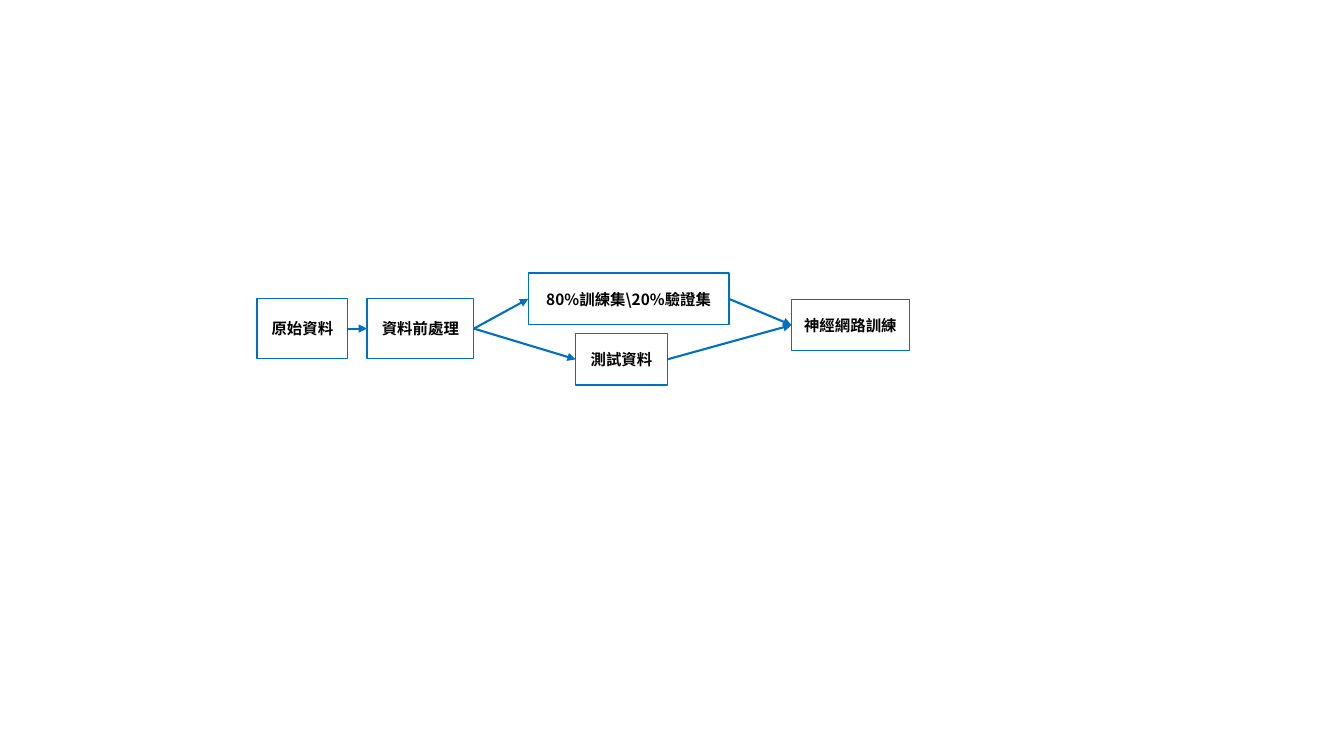
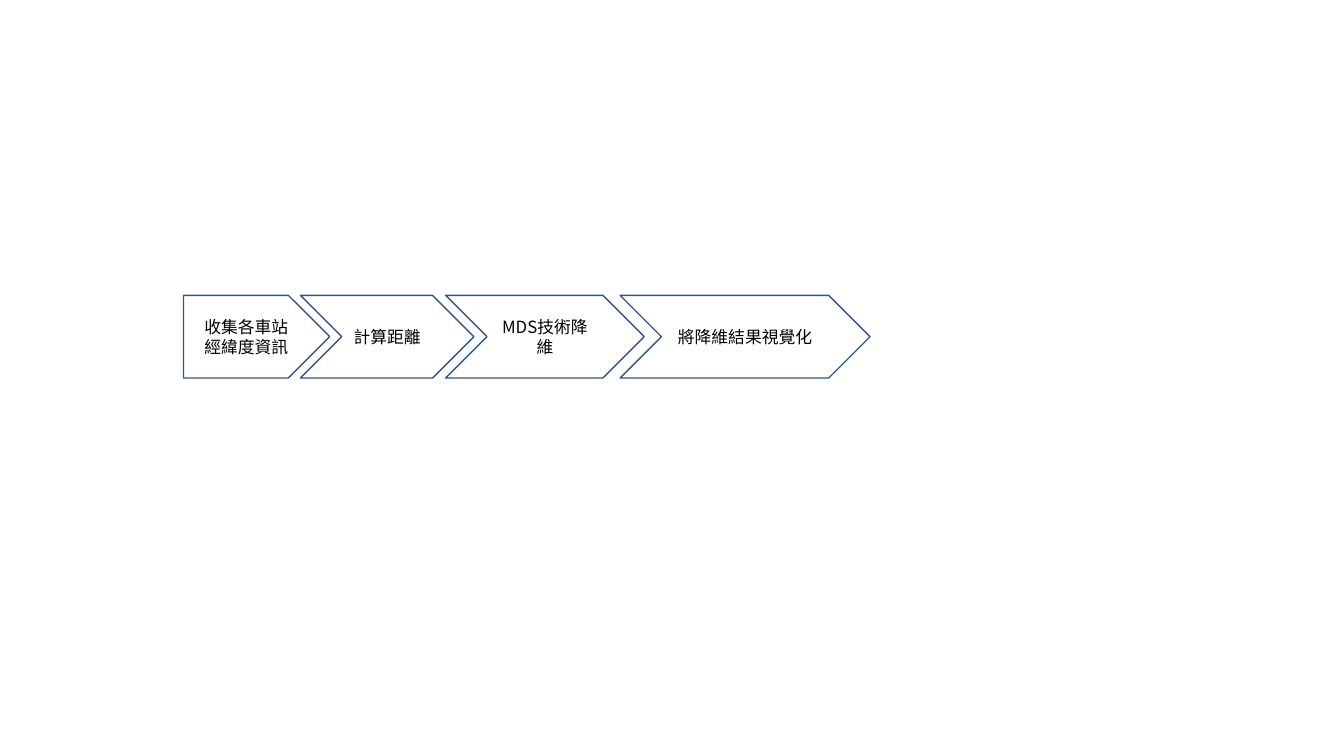
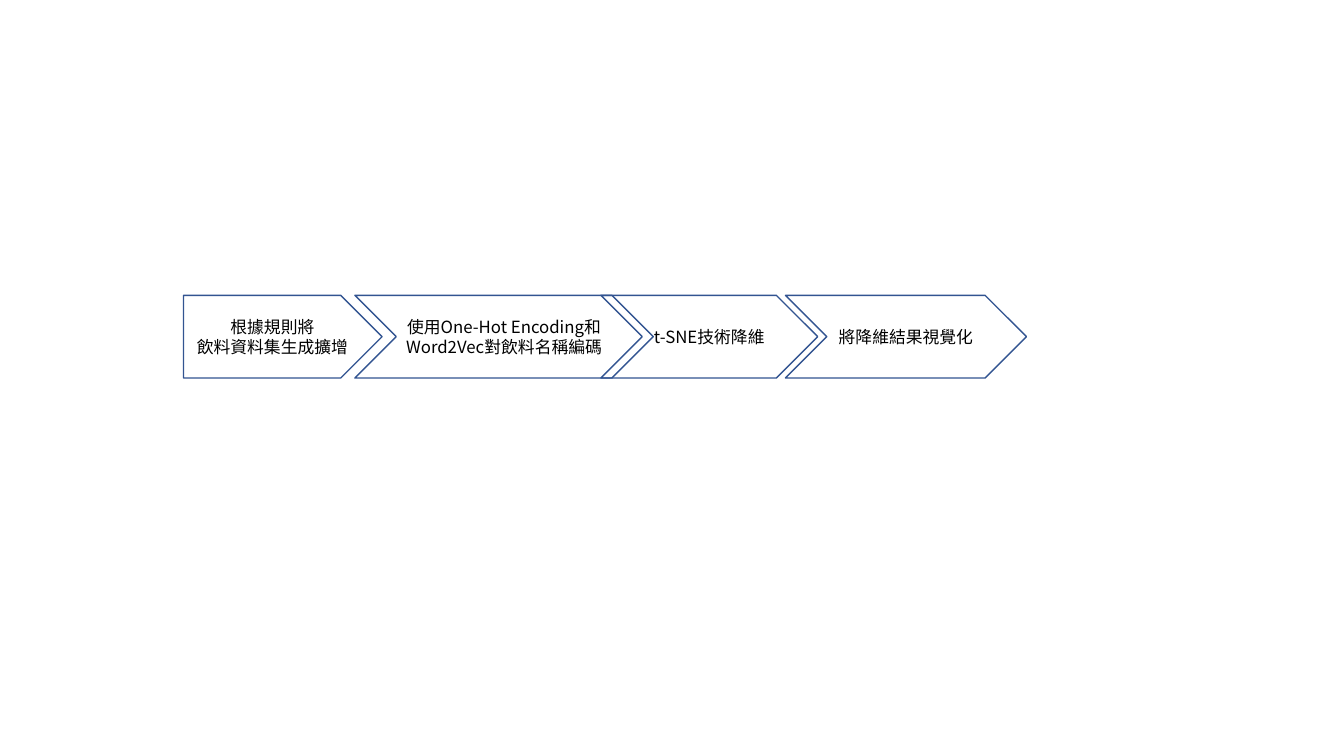
from dataclasses import dataclass

from lxml import etree
from pptx import Presentation
from pptx import util as u
from pptx.dml.color import RGBColor
from pptx.enum import shapes, text
from pptx.oxml import ns

PX = 9144  # 100 px to the inch
SLIDE_SIZE = (1333, 750)
BLANK_LAYOUT = 6


@dataclass(frozen=True)
class Theme:
    font: str = "Noto Sans CJK SC"
    ink: str = "000000"
    box_line: str = "0070C0"
    step_line: str = "325491"
    box_size: float = 11
    step_size: float = 12
    step_spacing: float = 14.3
    outline: float = 1
    arrow: float = 1.5


THEME = Theme()

# label: left, top, width, height
TRAINING_BOXES = {
    "原始資料": (255, 296, 90, 60),
    "資料前處理": (364, 296, 106, 60),
    "80%訓練集\\20%驗證集": (524, 271, 199, 51),
    "測試資料": (571, 331, 91, 51),
    "神經網路訓練": (785, 297, 117, 51),
}
TRAINING_ARROWS = [
    ("原始資料", "資料前處理"),
    ("資料前處理", "80%訓練集\\20%驗證集"),
    ("資料前處理", "測試資料"),
    ("測試資料", "神經網路訓練"),
    ("80%訓練集\\20%驗證集", "神經網路訓練"),
]

# paragraphs, left, width
STATION_STEPS = [
    (["收集各車站", "經緯度資訊"], 182, 145),
    (["計算距離"], 298, 172),
    (["MDS技術降維"], 442, 197),
    (["將降維結果視覺化"], 615, 248),
]
DRINK_STEPS = [
    (["根據規則將", "飲料資料集生成擴增"], 182, 197),
    (["使用One-Hot Encoding和Word2Vec對飲料名稱編碼"], 352, 296),
    (["t-SNE技術降維"], 596, 215),
    (["將降維結果視覺化"], 779, 239),
]
STEP_TOP, STEP_HEIGHT = 293, 82

RIGHT_SITE, LEFT_SITE = 3, 1


def add_outlined(parent, preset, area, paragraphs, line, size, bold=False, spacing=None):
    """Add an unfilled shape with centred text; area is left, top, width, height in px."""
    shape = parent.add_shape(preset, *(length * PX for length in area))
    shape.shadow.inherit = False
    shape.fill.background()
    shape.line.color.rgb = RGBColor.from_string(line)
    shape.line.width = u.Pt(THEME.outline)
    frame = shape.text_frame
    frame.word_wrap = True
    frame.vertical_anchor = text.MSO_ANCHOR.MIDDLE
    for index, words in enumerate(paragraphs):
        paragraph = frame.add_paragraph() if index else frame.paragraphs[0]
        paragraph.alignment = text.PP_ALIGN.CENTER
        if spacing:
            paragraph.line_spacing = u.Pt(spacing)
        run = paragraph.add_run()
        run.text = words
        run.font.size = u.Pt(size)
        run.font.bold = bold
        run.font.color.rgb = RGBColor.from_string(THEME.ink)
        run.font.name = THEME.font
        etree.SubElement(run.font._element, ns.qn("a:ea"), typeface=THEME.font)
    return shape


def add_arrow(slide, source, target):
    arrow = slide.shapes.add_connector(shapes.MSO_CONNECTOR.STRAIGHT, 0, 0, 0, 0)
    arrow.begin_connect(source, RIGHT_SITE)
    arrow.end_connect(target, LEFT_SITE)
    arrow.line.color.rgb = RGBColor.from_string(THEME.box_line)
    arrow.line.width = u.Pt(THEME.arrow)
    etree.SubElement(arrow.line._get_or_add_ln(), ns.qn("a:tailEnd"), type="triangle")
    etree.SubElement(arrow._element.spPr, ns.qn("a:effectLst"))


def add_training_flow(slide):
    boxes = {
        label: add_outlined(slide.shapes, shapes.MSO_SHAPE.RECTANGLE, area, [label],
                            THEME.box_line, THEME.box_size, bold=True)
        for label, area in TRAINING_BOXES.items()
    }
    for source, target in TRAINING_ARROWS:
        add_arrow(slide, boxes[source], boxes[target])


def add_step_chain(slide, steps):
    chain = slide.shapes.add_group_shape()
    for index, (paragraphs, left, width) in enumerate(steps):
        preset = shapes.MSO_SHAPE.CHEVRON if index else shapes.MSO_SHAPE.PENTAGON
        add_outlined(chain.shapes, preset, (left, STEP_TOP, width, STEP_HEIGHT), paragraphs,
                     THEME.step_line, THEME.step_size, spacing=THEME.step_spacing)


def main():
    deck = Presentation()
    deck.slide_width, deck.slide_height = (length * PX for length in SLIDE_SIZE)
    blank = deck.slide_layouts[BLANK_LAYOUT]
    add_training_flow(deck.slides.add_slide(blank))
    for steps in (STATION_STEPS, DRINK_STEPS):
        add_step_chain(deck.slides.add_slide(blank), steps)
    deck.save("out.pptx")


if __name__ == "__main__":
    main()
